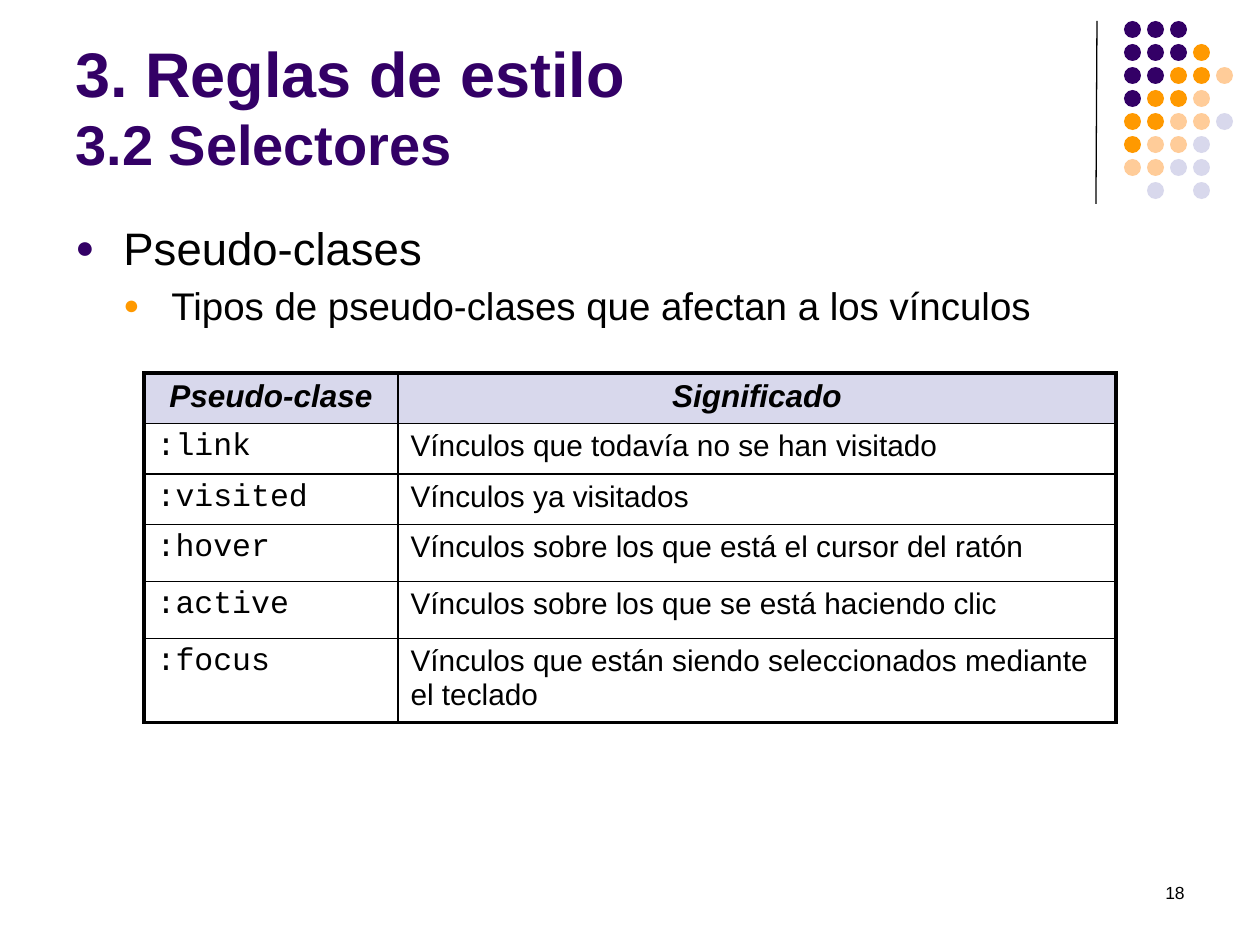
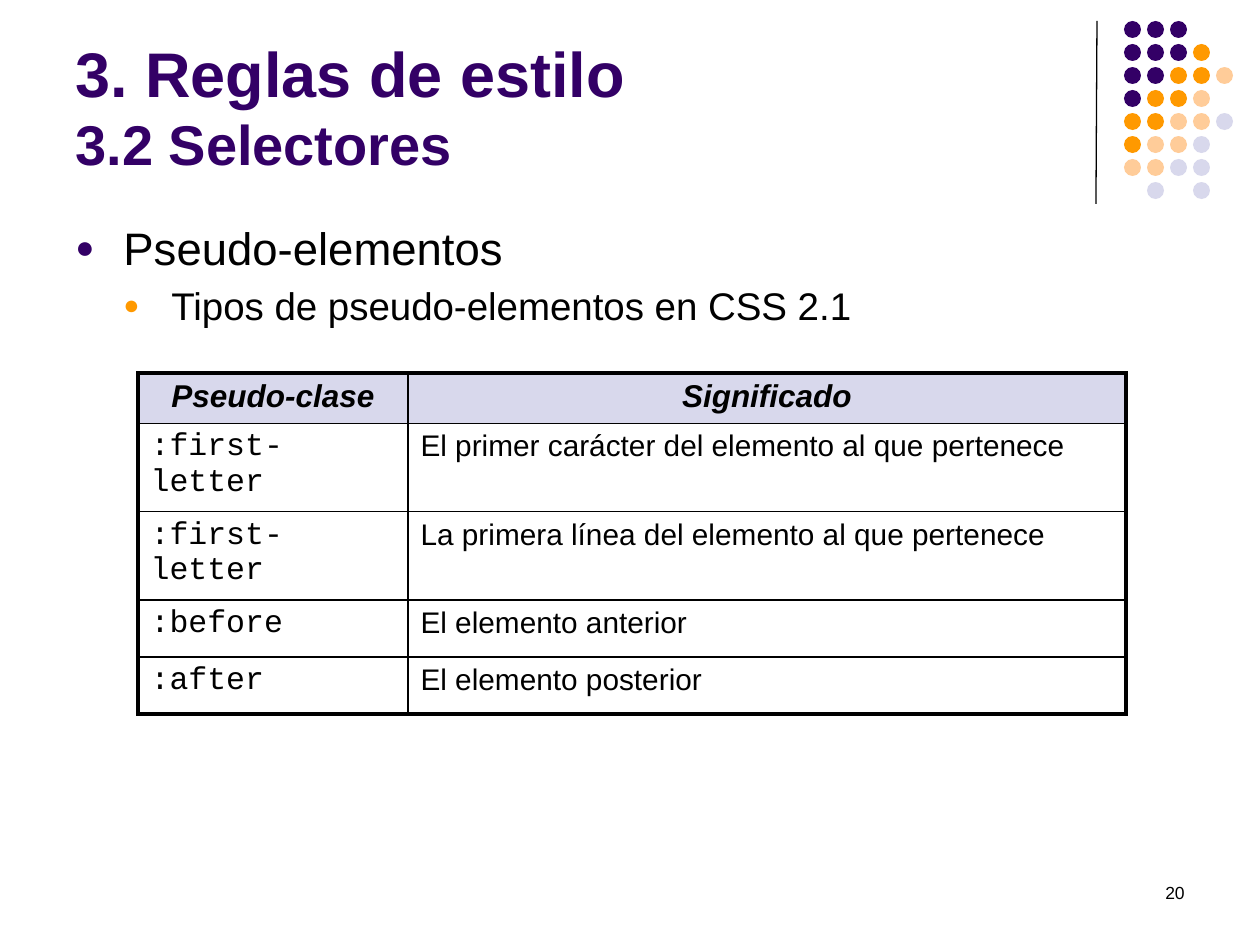
from lxml import etree
from pptx import Presentation
from pptx.dml.color import RGBColor
from pptx.enum.shapes import MSO_CONNECTOR, MSO_SHAPE
from pptx.enum.text import MSO_ANCHOR, PP_ALIGN
from pptx.oxml.ns import qn
from pptx.util import Emu, Pt

EMU_PER_PX = 914400 / 126
COLORS = {
    "purple": "330066",
    "orange": "FF9900",
    "peach": "FFCC99",
    "lavender": "D8D8EC",
    "black": "000000",
}
SANS, MONO = "Arial", "Courier New"
ELLIPSE, STRAIGHT = MSO_SHAPE.OVAL, MSO_CONNECTOR.STRAIGHT
LEFT, CENTER, RIGHT = PP_ALIGN.LEFT, PP_ALIGN.CENTER, PP_ALIGN.RIGHT
TOP, MIDDLE = MSO_ANCHOR.TOP, MSO_ANCHOR.MIDDLE

DOT_ROWS = ["ppp", "pppo", "ppoop", "poop", "ooppl", "oppl", "ppll", " l l"]
DOT_ROWS = ["PPP", "PPPO", "PPOOC", "POOC", "OOCCL", "OCCL", "CCLL", " L L"]
DOT_COLORS = {"P": "purple", "O": "orange", "C": "peach", "L": "lavender"}
DOT_LEFT, DOT_TOP, DOT_PITCH, DOT_SIZE = 1124, 21, 23, 17

BULLETS = [(26, "purple"), (22, "orange")]
BULLET_INDENT = 48
TABLE_TOP, MEANING_WIDTH = 373, 718
ROW_LOW, ROW_HIGH = 49, 57
THICK, THIN = 2.25, 1
TABLE_HEADER = ("Pseudo-clase", "Significado")

LINK_CLASSES = [
    (":link", "Vínculos que todavía no se han visitado"),
    (":visited", "Vínculos ya visitados"),
    (":hover", "Vínculos sobre los que está el cursor del ratón"),
    (":active", "Vínculos sobre los que se está haciendo clic"),
    (":focus", "Vínculos que están siendo seleccionados mediante el teclado"),
]
PSEUDO_ELEMENTS = [
    (":first-letter", "El primer carácter del elemento al que pertenece"),
    (":first-letter", "La primera línea del elemento al que pertenece"),
    (":before", "El elemento anterior"),
    (":after", "El elemento posterior"),
]


def px(n):
    return Emu(round(n * EMU_PER_PX))


def rgb(name):
    return RGBColor.from_string(COLORS[name])


def format_run(r, size, color="black", font=SANS, bold=False, italic=False):
    r.font.size = Pt(size)
    r.font.name = font
    r.font.bold = bold
    r.font.italic = italic
    r.font.color.rgb = rgb(color)


def add_text(slide, box, text, anchor=TOP):
    tf = slide.shapes.add_textbox(*map(px, box)).text_frame
    tf.word_wrap = True
    tf.vertical_anchor = anchor
    tf.text = text
    return tf


def add_divider(slide):
    line = slide.shapes.add_connector(STRAIGHT, px(1097), px(21), px(1096), px(204))
    line.line.color.rgb = rgb("black")
    line.line.width = Pt(0.75)
    etree.SubElement(line._element.spPr, qn("a:effectLst"))


def add_dots(slide):
    for row, marks in enumerate(DOT_ROWS):
        for col, mark in enumerate(marks):
            if mark == " ":
                continue
            x, y = DOT_LEFT + col * DOT_PITCH, DOT_TOP + row * DOT_PITCH
            sp = slide.shapes.add_shape(ELLIPSE, px(x), px(y), px(DOT_SIZE), px(DOT_SIZE))
            sp.shadow.inherit = False
            sp.fill.solid()
            sp.fill.fore_color.rgb = rgb(DOT_COLORS[mark])
            sp.line.fill.background()


def add_title(slide):
    tf = add_text(slide, (63, 16, 1043, 179), "", MIDDLE)
    p = tf.paragraphs[0]
    p.text = "3. Reglas de estilo\v3.2 Selectores"
    for r, size in zip(p.runs, (36, 32)):
        format_run(r, size, "purple", bold=True)


def add_page_number(slide, number):
    p = add_text(slide, (903, 876, 294, 63), str(number)).paragraphs[0]
    p.alignment = RIGHT
    format_run(p.runs[0], 10)


def set_bullet(p, level, color):
    """Give the paragraph a hanging round bullet and 20% space before."""
    p.level = level
    pPr = p._p.get_or_add_pPr()
    pPr.set("marL", str(px(BULLET_INDENT * (level + 1))))
    pPr.set("indent", str(-px(BULLET_INDENT)))
    space = etree.SubElement(pPr, qn("a:spcBef"))
    etree.SubElement(space, qn("a:spcPct"), val="20000")
    bullet_color = etree.SubElement(pPr, qn("a:buClr"))
    etree.SubElement(bullet_color, qn("a:srgbClr"), val=COLORS[color])
    etree.SubElement(pPr, qn("a:buSzPct"), val="70000")
    etree.SubElement(pPr, qn("a:buFont"), typeface=SANS)
    etree.SubElement(pPr, qn("a:buChar"), char="●")


def add_body(slide, topic, detail):
    tf = add_text(slide, (63, 214, 1092, 525), f"{topic}\n{detail}")
    for level, (p, (size, color)) in enumerate(zip(tf.paragraphs, BULLETS)):
        set_bullet(p, level, color)
        format_run(p.runs[0], size)


def set_borders(cell, widths):
    """Draw the left, right, top and bottom borders, widths in points."""
    tcPr = cell._tc.get_or_add_tcPr()
    for side, width in zip("LRTB", widths):
        ln = etree.SubElement(tcPr, qn(f"a:ln{side}"), w=str(Pt(width)))
        fill = etree.SubElement(ln, qn("a:solidFill"))
        etree.SubElement(fill, qn("a:srgbClr"), val=COLORS["black"])


def fill_cell(cell, text, is_header, is_code):
    cell.text = text
    p = cell.text_frame.paragraphs[0]
    r = p.runs[0]
    if is_header:
        p.alignment = CENTER
        format_run(r, 18, bold=True, italic=True)
        cell.fill.solid()
        cell.fill.fore_color.rgb = rgb("lavender")
        return
    p.alignment = LEFT
    format_run(r, 18 if is_code else 17, font=MONO if is_code else SANS)
    cell.fill.background()


def add_selector_table(slide, left, name_width, selectors):
    rows = [TABLE_HEADER] + selectors
    heights = [ROW_LOW if i < 3 else ROW_HIGH for i in range(len(rows))]
    widths = (name_width, MEANING_WIDTH)
    frame = slide.shapes.add_table(len(rows), len(widths), px(left), px(TABLE_TOP),
                                   px(sum(widths)), px(sum(heights)))
    table = frame.table
    table.first_row = table.horz_banding = False
    for column, width in zip(table.columns, widths):
        column.width = px(width)
    for i, texts in enumerate(rows):
        table.rows[i].height = px(heights[i])
        for j, text in enumerate(texts):
            cell = table.cell(i, j)
            on_edge = (j == 0, j == 1, i == 0, i == len(rows) - 1)
            set_borders(cell, [THICK if edge else THIN for edge in on_edge])
            fill_cell(cell, text, is_header=i == 0, is_code=j == 0)


def add_selector_slide(prs, number, topic, detail):
    slide = prs.slides.add_slide(prs.slide_layouts[6])
    add_divider(slide)
    add_dots(slide)
    add_page_number(slide, number)
    add_title(slide)
    add_body(slide, topic, detail)
    return slide


def main():
    prs = Presentation()
    prs.slide_width, prs.slide_height = px(1260), px(945)

    slide = add_selector_slide(prs, 18, "Pseudo-clases",
                               "Tipos de pseudo-clases que afectan a los vínculos")
    add_selector_table(slide, 144, 254, LINK_CLASSES)

    slide = add_selector_slide(prs, 20, "Pseudo-elementos",
                               "Tipos de pseudo-elementos en CSS 2.1")
    add_selector_table(slide, 138, 270, PSEUDO_ELEMENTS)

    prs.save("out.pptx")


if __name__ == "__main__":
    main()
